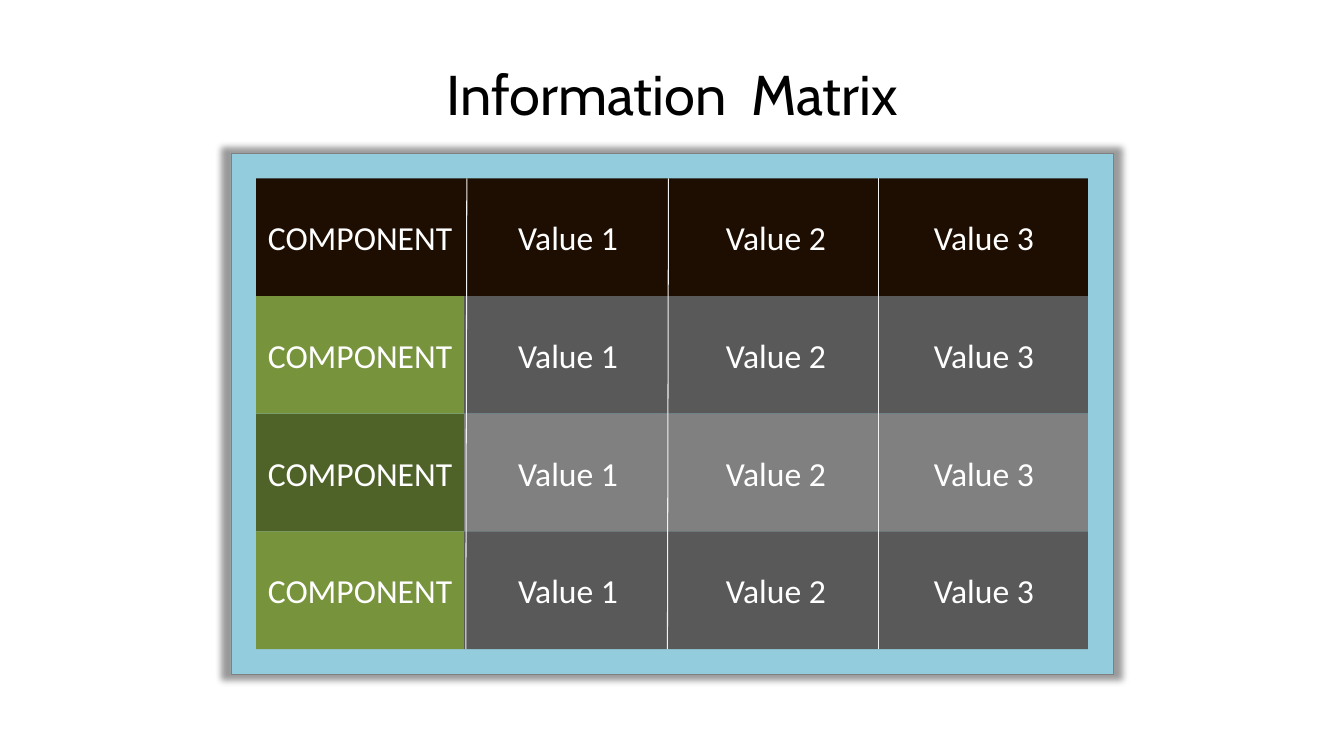
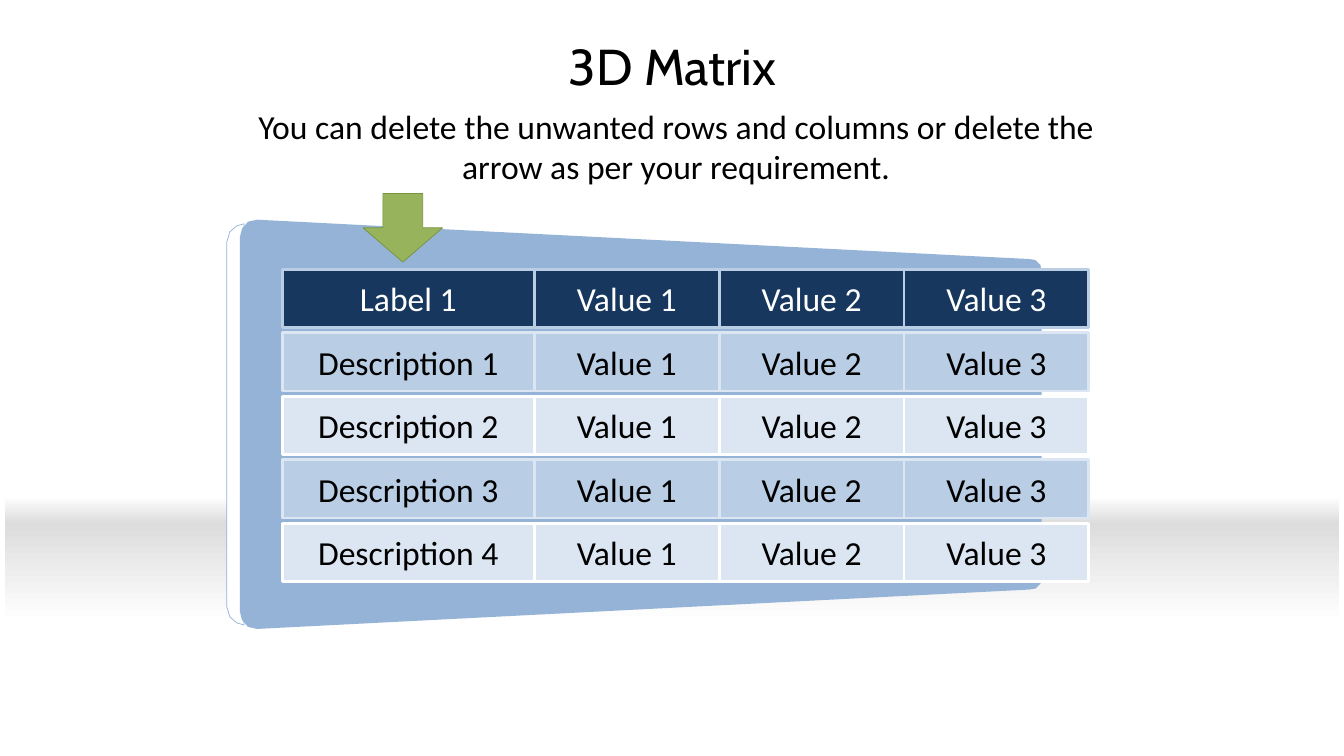
"""Build two matrix slides: an information matrix and a 3D matrix."""
import pptx
import pptx.dml.color
import pptx.enum.shapes
import pptx.enum.text
import pptx.oxml
import pptx.oxml.ns
import pptx.util
from itertools import accumulate

Inches, Pt = pptx.util.Inches, pptx.util.Pt
SHAPES = pptx.enum.shapes.MSO_SHAPE
ALIGN = pptx.enum.text.PP_ALIGN
ANCHOR = pptx.enum.text.MSO_ANCHOR

BLACK, WHITE, SKY, STEEL, PALE = "000000", "FFFFFF", "93CDDD", "95B3D7", "DCE6F2"
TITLE_FONT, BODY_FONT = "Cabin", "Calibri"

VALUES = ["Value 1", "Value 2", "Value 3"]
INFORMATION = {
    "title": "Information  Matrix",
    "label": "COMPONENT",
    "row_fills": [("1E0E01", "1E0E01"), ("77933C", "595959"),
                  ("4F6228", "808080"), ("77933C", "595959")],
    "dividers": [(4.63, 4.62), (6.63, 6.62), (8.71, 8.71)],
}
MATRIX_3D = {
    "title": "3D Matrix",
    "note": "You can delete the unwanted rows and columns or delete the "
            "arrow as per your requirement.",
    "labels": ["Label 1", "Description 1", "Description 2",
               "Description 3", "Description 4"],
    "column_widths": [2.5] + [5.5 / 3] * 3,
}
HEADER_STYLE = ("17375E", "B9CDE5", WHITE)
ROW_STYLES = [("B9CDE5", PALE, BLACK), (PALE, WHITE, BLACK)]
FLOOR_BANDS = [((0.05, 5.2, 13.23, 0.97), ("DDDDDD", WHITE)),
               ((0.05, 4.92, 13.23, 0.29), (WHITE, "DBDBDB"))]
PANEL_EDGE = [(2.42, 2.22), (2.35, 2.24), (2.28, 2.3), (2.25, 2.4), (2.25, 6.02),
              (2.28, 6.12), (2.35, 6.18), (2.42, 6.2)]
PANEL_FACE = [(2.38, 2.35), (2.4, 2.27), (2.46, 2.2), (2.55, 2.18), (10.2, 2.57),
              (10.27, 2.58), (10.32, 2.63), (10.33, 2.7), (10.33, 5.72),
              (10.32, 5.79), (10.27, 5.84), (10.2, 5.85), (2.55, 6.24),
              (2.46, 6.22), (2.4, 6.15), (2.38, 6.07)]


def rgb(value):
    return pptx.dml.color.RGBColor.from_string(value)


def write(frame, text, color, size=24, font=BODY_FONT, anchor=ANCHOR.MIDDLE):
    frame.word_wrap = True
    frame.vertical_anchor = anchor
    paragraph = frame.paragraphs[0]
    paragraph.text = text
    paragraph.alignment = ALIGN.CENTER
    for name, value in {"size": Pt(size), "name": font, "bold": False}.items():
        setattr(paragraph.font, name, value)
    paragraph.font.color.rgb = rgb(color)


def paint(shape, fill=None, line=None, width=2):
    shape.shadow.inherit = False
    if fill:
        shape.fill.solid()
        shape.fill.fore_color.rgb = rgb(fill)
    if line:
        shape.line.color.rgb = rgb(line)
        shape.line.width = Pt(width)
    else:
        shape.line.fill.background()


def add_preset(slide, preset, box, **style):
    shape = slide.shapes.add_shape(preset, *map(Inches, box))
    paint(shape, **style)
    return shape


def add_row(slide, left, top, widths, height, texts, styles):
    lefts = accumulate(widths[:-1], initial=left)
    for x, width, text, (fill, line, color) in zip(lefts, widths, texts, styles):
        cell = add_preset(slide, SHAPES.RECTANGLE, (x, top, width, height),
                          fill=fill, line=line)
        write(cell.text_frame, text, color)


def add_outline(slide, points, **style):
    start, *others = [(Inches(x), Inches(y)) for x, y in points]
    builder = slide.shapes.build_freeform(*start)
    builder.add_line_segments(others, close=True)
    paint(builder.convert_to_shape(), **style)


def add_effects(shape, content=""):
    properties = shape._element.spPr
    for effects in properties.findall(pptx.oxml.ns.qn("a:effectLst")):
        properties.remove(effects)
    properties.append(pptx.oxml.parse_xml(
        f'<a:effectLst {pptx.oxml.ns.nsdecls("a")}>{content}</a:effectLst>'))


def add_slide(deck, title, box, size):
    slide = deck.slides.add_slide(deck.slide_layouts[5])
    heading = slide.shapes.title
    for name, value in zip(("left", "top", "width", "height"), box):
        setattr(heading, name, Inches(value))
    write(heading.text_frame, title, BLACK, size, TITLE_FONT)
    heading.text_frame.auto_size = pptx.enum.text.MSO_AUTO_SIZE.NONE
    return slide


def add_information_matrix(deck):
    slide = add_slide(deck, INFORMATION["title"], (0.67, 0.3, 12, 1.25), 40)
    backdrop = add_preset(slide, SHAPES.RECTANGLE, (2.29, 1.52, 8.75, 5.17),
                          fill=SKY, line="808080", width=0.5)
    add_effects(backdrop, '<a:outerShdw blurRad="63500" sx="102000" sy="102000" '
                          'algn="ctr" rotWithShape="0"><a:srgbClr val="000000">'
                          '<a:alpha val="40000"/></a:srgbClr></a:outerShdw>')
    left, top, width, height = 2.54, 1.77, 8.25, 4.67
    texts = [INFORMATION["label"]] + VALUES
    row_height = height / len(INFORMATION["row_fills"])
    for row, (label_fill, value_fill) in enumerate(INFORMATION["row_fills"]):
        fills = [label_fill] + [value_fill] * len(VALUES)
        add_row(slide, left, top + row * row_height, [width / len(texts)] * len(texts),
                row_height, texts, [(fill, None, WHITE) for fill in fills])
    for upper, lower in INFORMATION["dividers"]:
        divider = slide.shapes.add_connector(
            pptx.enum.shapes.MSO_CONNECTOR.STRAIGHT,
            Inches(upper), Inches(top), Inches(lower), Inches(top + height))
        divider.line.color.rgb = rgb("F2F2F2")
        divider.line.width = Pt(0.75)
        add_effects(divider)


def add_3d_matrix(deck):
    slide = add_slide(deck, MATRIX_3D["title"], (2.17, 0.3, 9, 0.7), 36)
    for box, colors in FLOOR_BANDS:
        band = add_preset(slide, SHAPES.RECTANGLE, box)
        band.fill.gradient()
        band.fill.gradient_angle = 270
        for stop, color, position in zip(band.fill.gradient_stops, colors, (0, 1)):
            stop.color.rgb = rgb(color)
            stop.position = position
    add_outline(slide, PANEL_EDGE, fill=WHITE, line=STEEL, width=0.5)
    add_outline(slide, PANEL_FACE, fill=STEEL)

    widths = MATRIX_3D["column_widths"]
    for row, label in enumerate(MATRIX_3D["labels"]):
        style = ROW_STYLES[(row - 1) % 2] if row else HEADER_STYLE
        add_row(slide, 2.8, 2.67 + 0.63 * row, widths, 0.58,
                [label] + VALUES, [style] * len(widths))

    note = slide.shapes.add_textbox(*map(Inches, (2.33, 1, 8.75, 0.91)))
    write(note.text_frame, MATRIX_3D["note"], BLACK, anchor=ANCHOR.TOP)
    add_preset(slide, SHAPES.DOWN_ARROW, (3.6, 1.92, 0.79, 0.68),
               fill="97B35C", line="77933C", width=0.5)


def main():
    deck = pptx.Presentation()
    deck.slide_width, deck.slide_height = Inches(13.33), Inches(7.5)
    add_information_matrix(deck)
    add_3d_matrix(deck)
    deck.save("out.pptx")


if __name__ == "__main__":
    main()
